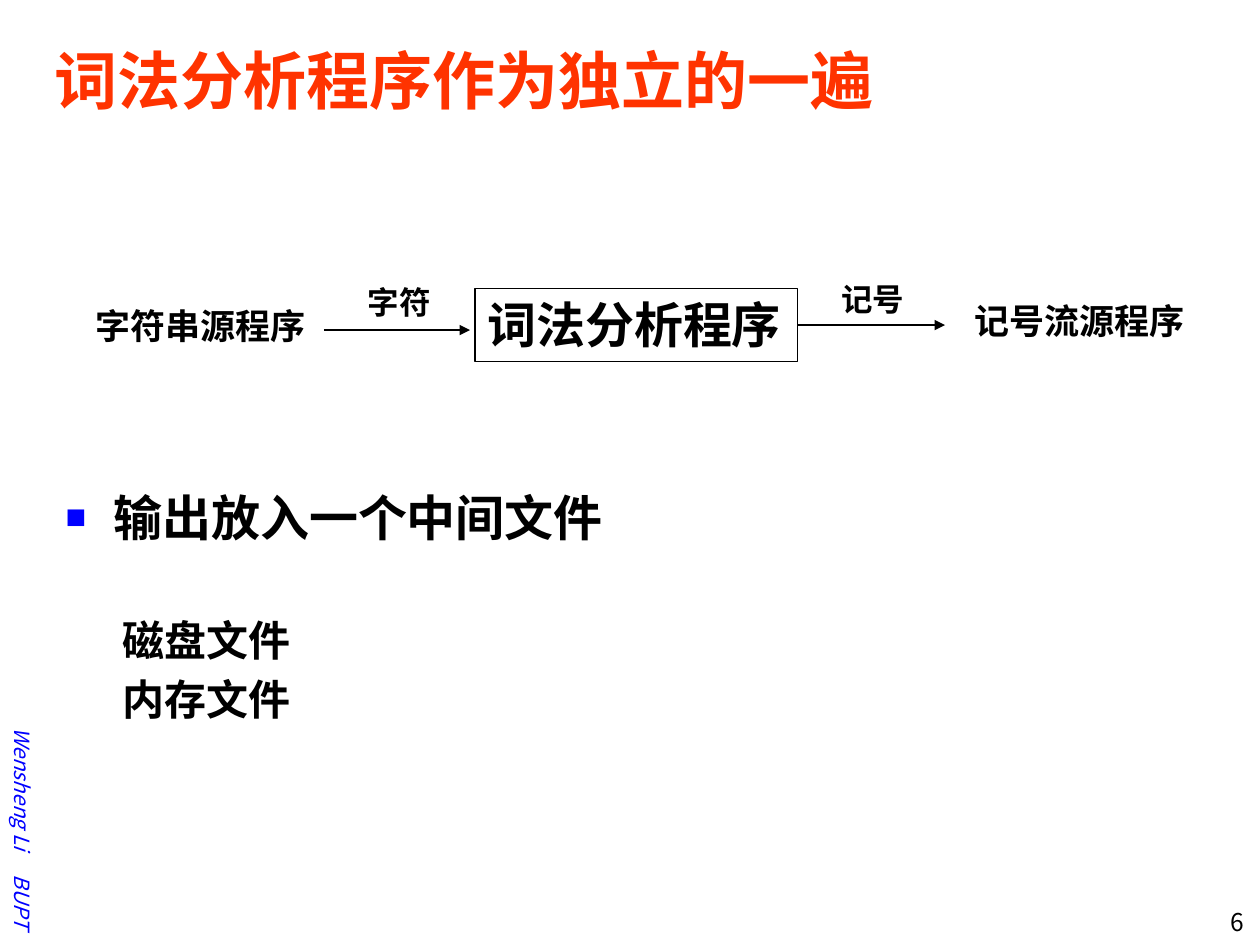
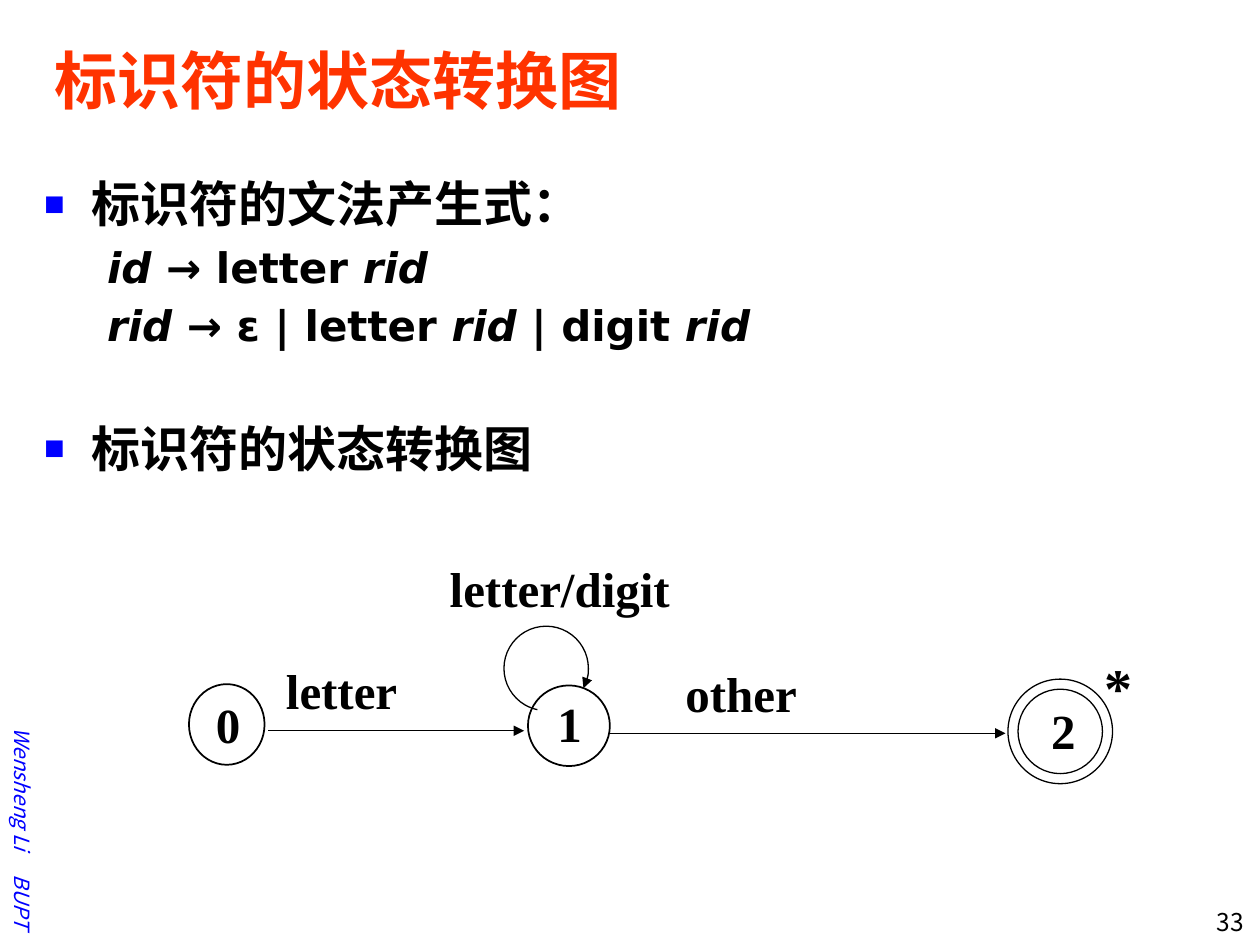
from pptx import Presentation
from pptx.dml.color import RGBColor
from pptx.enum.shapes import MSO_CONNECTOR as CONN, MSO_SHAPE as SHAPE
from pptx.enum.text import MSO_ANCHOR as ANCHOR, PP_ALIGN as ALIGN
from pptx.oxml.ns import qn
from pptx.util import Inches, Pt
from lxml.etree import SubElement

SANS, WIDE, SERIF = "Noto Sans CJK SC", "DejaVu Sans", "Times New Roman"
BLACK, BLUE, RED = "000000", "0000FF", "FF3300"

prs = Presentation()
prs.slide_width, prs.slide_height = Inches(10), Inches(7.5)
COL, ROW = prs.slide_width / 100, prs.slide_height / 75


def rgb(hex_colour):
    return RGBColor.from_string(hex_colour)


def cells(x, y, w, h):
    return int(x * COL), int(y * ROW), int(w * COL), int(h * ROW)


def_title = cells(3.3, 1.7, 94.2, 9.2)
pages = [
    ("词法分析程序作为独立的一遍", "6", (4.2, 38.2, 90.8, 31), [
        ("bullet", 0, ["输出放入一个中间文件"]),
        ("plain", 39, ["磁盘文件"]),
        ("plain", 4.8, ["内存文件"]),
    ]),
    ("标识符的状态转换图", "33", (2.5, 13.3, 95, 28.3), [
        ("bullet", 0, ["标识符的文法产生式："]),
        ("rule", 4.8, ["id ", "→ letter ", "rid"]),
        ("rule", 4.8, ["rid ", "→ ε | letter ", "rid", " | digit ", "rid"]),
        ("bullet", 39, ["标识符的状态转换图"]),
    ]),
]
levels = {"bullet": (28, 0.38, -0.38), "plain": (24, 0.45, 0), "rule": (24, 0.81, -0.31)}
styled = []

for title, number, area, lines in pages:
    s = prs.slides.add_slide(prs.slide_layouts[1])
    sp = s.shapes.title
    sp.left, sp.top, sp.width, sp.height = def_title
    sp.text_frame.text = title
    sp.text_frame.vertical_anchor = ANCHOR.MIDDLE
    p = sp.text_frame.paragraphs[0]
    p.alignment = ALIGN.LEFT
    styled.append((p, 36, SANS, RED, True))

    sp = s.placeholders[1]
    sp.left, sp.top, sp.width, sp.height = cells(*area)
    tf = sp.text_frame
    for i, (level, gap, parts) in enumerate(lines):
        p = tf.paragraphs[0] if i == 0 else tf.add_paragraph()
        size, margin, indent = levels[level]
        p.space_before = Pt(gap)
        for j, part in enumerate(parts):
            r = p.add_run()
            r.text = part
            r.font.italic = level == "rule" and j % 2 == 0
        pPr = p._p.get_or_add_pPr()
        pPr.set("marL", str(Inches(margin)))
        pPr.set("indent", str(Inches(indent)))
        if level == "bullet":
            SubElement(SubElement(pPr, qn("a:buClr")), qn("a:srgbClr"), val=BLUE)
            SubElement(pPr, qn("a:buSzPct"), val="70000")
            SubElement(pPr, qn("a:buChar"), char="■")
        else:
            SubElement(pPr, qn("a:buNone"))
        styled.append((p, size, WIDE, BLACK, True))

    sp = s.shapes.add_textbox(*cells(-11.4, 60, 26.4, 3))
    sp.rotation = 90
    sp.text_frame.word_wrap = True
    sp.text_frame.vertical_anchor = ANCHOR.MIDDLE
    p = sp.text_frame.paragraphs[0]
    p.alignment = ALIGN.RIGHT
    for part in ("Wensheng Li", " ", "BUPT"):
        r = p.add_run()
        r.text = part
        r.font.italic = True
    p.runs[1].font._element.set("spc", "1100")
    styled.append((p, 12, SANS, BLUE, False))

    sp = s.shapes.add_textbox(*cells(91.8, 71.5, 7.9, 3))
    sp.text_frame.word_wrap = True
    sp.text_frame.text = number
    p = sp.text_frame.paragraphs[0]
    p.alignment = ALIGN.RIGHT
    styled.append((p, 14, SANS, BLACK, False))

flow, states = prs.slides

outlines = [
    (flow, SHAPE.RECTANGLE, (37.7, 22.9, 25.6, 5.8), 0.75),
    (states, SHAPE.OVAL, (15, 54.3, 6, 6.4), 1),
    (states, SHAPE.OVAL, (41.9, 54.4, 6.5, 6.4), 1),
    (states, SHAPE.OVAL, (80.8, 54.7, 6.7, 6.7), 0.75),
    (states, SHAPE.OVAL, (80, 53.9, 8.3, 8.3), 0.75),
    (states, SHAPE.ARC, (40, 49.7, 6.7, 6.7), 0.75),
]
drawn = []
for s, kind, area, width in outlines:
    sp = s.shapes.add_shape(kind, *cells(*area))
    sp.shadow.inherit = False
    sp.fill.background()
    sp.line.color.rgb = rgb(BLACK)
    sp.line.width = Pt(width)
    drawn.append(sp)

analyzer, loop = drawn[0], drawn[-1]
for i, degrees in enumerate((102, 28)):
    loop.adjustments[i] = degrees * 0.6
SubElement(loop.line._get_or_add_ln(), qn("a:tailEnd"), type="triangle")

tf = analyzer.text_frame
tf.text = "词法分析程序"
tf.word_wrap = False
tf.vertical_anchor = ANCHOR.TOP
tf.paragraphs[0].alignment = ALIGN.LEFT
styled.append((tf.paragraphs[0], 28, SERIF, BLACK, True))

labels = [
    (flow, "字符串源程序", (6.5, 23.7, 18.8, 4.3), 20, ALIGN.CENTER),
    (flow, "字符", (28.2, 22, 7, 4), 18, ALIGN.LEFT),
    (flow, "记号", (65.8, 21.7, 7, 4), 18, ALIGN.LEFT),
    (flow, "记号流源程序", (76.3, 23.3, 18.8, 4.3), 20, ALIGN.CENTER),
    (states, "0", (15, 55, 6.2, 6.1), 28, ALIGN.CENTER),
    (states, "1", (42.1, 54.9, 6.2, 6.1), 28, ALIGN.CENTER),
    (states, "2", (81.3, 55.5, 6.2, 6.1), 28, ALIGN.CENTER),
    (states, "letter/digit", (35.6, 44.2, 23.6, 7.2), 28, ALIGN.LEFT),
    (states, "letter", (22.6, 52.3, 17.4, 7.2), 28, ALIGN.LEFT),
    (states, "other", (54.3, 52.6, 15.7, 7.2), 28, ALIGN.LEFT),
    (states, "*", (87.6, 51.7, 4.1, 7.2), 32, ALIGN.LEFT),
]
for s, text, area, size, align in labels:
    sp = s.shapes.add_textbox(*cells(*area))
    tf = sp.text_frame
    tf.text = text
    tf.word_wrap = s is states
    if s is states:
        tf.margin_left = tf.margin_right = tf.margin_top = tf.margin_bottom = Inches(0.01)
    p = tf.paragraphs[0]
    p.alignment = align
    styled.append((p, size, SERIF, BLACK, True))

arrows = [
    (flow, 25.7, 37.3, 26.2, None),
    (flow, 63.3, 75, 25.8, analyzer),
    (states, 21.3, 41.6, 58, None),
    (states, 48.4, 79.8, 58.2, None),
]
for s, x1, x2, y, start in arrows:
    x1, y1, x2, y2 = cells(x1, y, x2, y)
    c = s.shapes.add_connector(CONN.STRAIGHT, x1, y1, x2, y2)
    if start:
        c.begin_connect(start, 3)
    c.line.color.rgb = rgb(BLACK)
    c.line.width = Pt(0.75)
    SubElement(c.line._get_or_add_ln(), qn("a:tailEnd"), type="triangle")
    SubElement(c._element.spPr, qn("a:effectLst"))

for p, size, font, colour, bold in styled:
    for r in p.runs:
        r.font.size = Pt(size)
        r.font.name = font
        r.font.bold = bold
        r.font.color.rgb = rgb(colour)
        SubElement(r.font._element, qn("a:ea"), typeface=WIDE)

prs.save("out.pptx")
